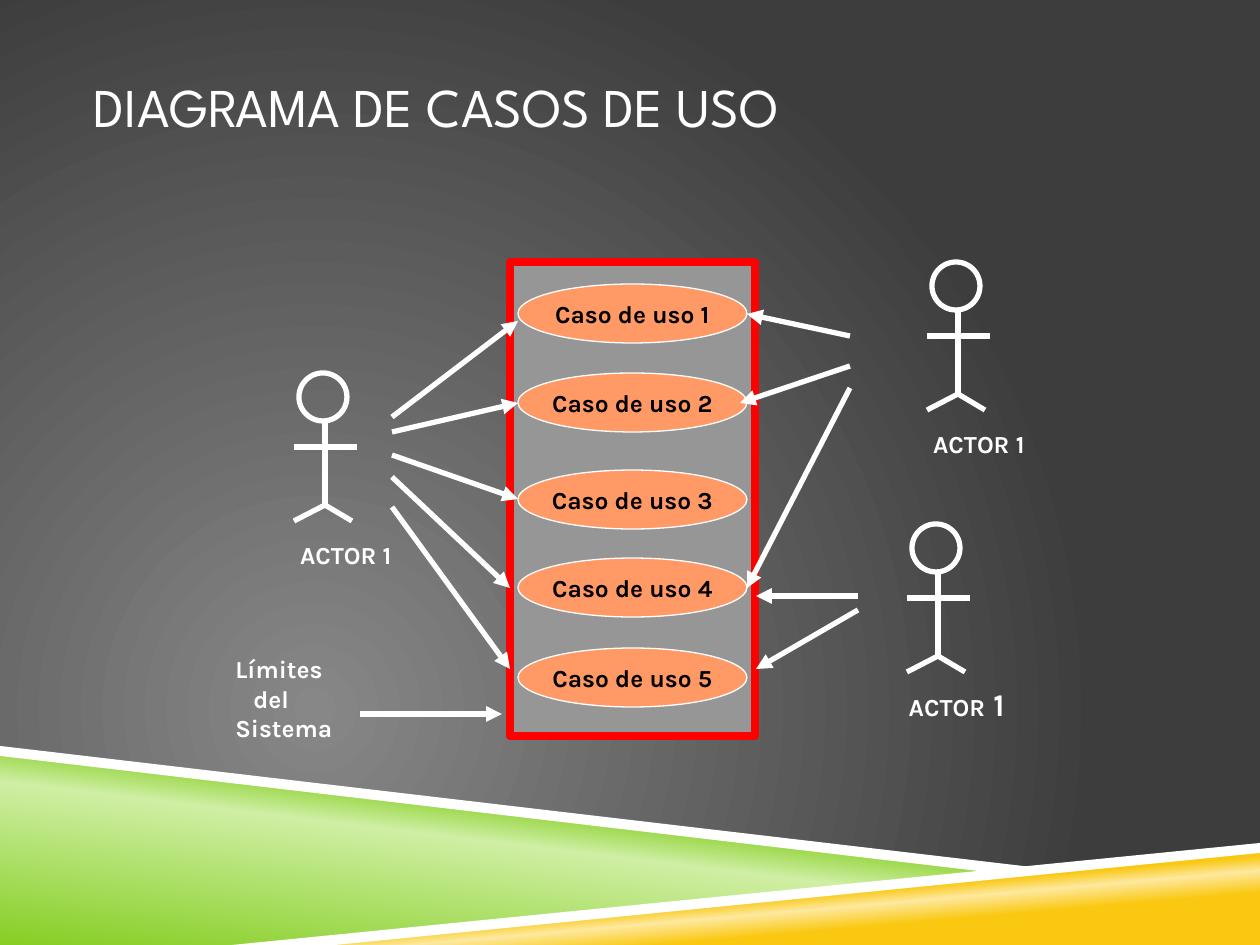
from lxml.etree import SubElement
from pptx import Presentation
from pptx.dml.color import RGBColor
from pptx.enum.shapes import MSO_CONNECTOR, MSO_SHAPE
from pptx.enum.text import MSO_ANCHOR, PP_ALIGN
from pptx.oxml.ns import qn
from pptx.util import Pt

SCALE = 914400 / 126  # EMU per px
WIDTH, HEIGHT = 1260, 945

WHITE = RGBColor(0xFF, 0xFF, 0xFF)
BLACK = RGBColor(0x00, 0x00, 0x00)
RED = RGBColor(0xFF, 0x00, 0x00)
GRAY = RGBColor(0x96, 0x96, 0x96)
ORANGE = RGBColor(0xFF, 0x99, 0x66)
LIGHT_GRAY = RGBColor(0x87, 0x87, 0x87)
DARK_GRAY = RGBColor(0x3D, 0x3D, 0x3D)
GREEN = RGBColor(0x86, 0xCE, 0x24)
PALE_GREEN = RGBColor(0xCF, 0xEF, 0xA4)
YELLOW = RGBColor(0xFA, 0xC8, 0x10)
PALE_YELLOW = RGBColor(0xFD, 0xE9, 0x9F)

BODY_FONT, TITLE_FONT = "Karla", "League Spartan"

TITLE = "DIAGRAMA DE CASOS DE USO"

# Corners, then a solid colour or (stops, angle)
BANDS = [
    ([(0, 752), (998, 872), (252, 945), (0, 945)],
     ([(0, GREEN), (52, PALE_GREEN), (66, GREEN)], 277)),
    ([(249, 945), (1260, 847), (1260, 945)],
     ([(28, YELLOW), (40, PALE_YELLOW), (48, YELLOW)], 265)),
    ([(0, 746), (0, 756), (995, 873), (1048, 869)], WHITE),
    ([(1260, 843), (232, 945), (335, 945), (1260, 853)], WHITE),
]

SYSTEM = (510, 262, 245, 474)
CASE_LEFT, CASE_WIDTH, CASE_HEIGHT = 518, 229, 59
CASES = [("Caso de uso 1", 284), ("Caso de uso 2", 373), ("Caso de uso 3", 470),
         ("Caso de uso 4", 558), ("Caso de uso 5", 648)]

ARROWS = [
    (392, 417, 518, 321), (392, 432, 518, 403), (392, 455, 518, 499),
    (392, 477, 510, 588), (392, 507, 510, 669),
    (850, 366, 740, 403), (850, 388, 747, 588), (850, 336, 747, 314),
    (858, 610, 756, 669), (858, 596, 756, 596),
    (360, 714, 502, 714),
]

# Head corner, label box, label runs with sizes
ACTORS = [
    ((299, 373), (248, 534, 156, 39), [("ACTOR 1", 14)]),
    ((932, 262), (881, 423, 156, 39), [("ACTOR 1", 14)]),
    ((912, 524), (853, 679, 164, 47), [("ACTOR", 14), (" 1", 18)]),
]
HEAD = 48
LIMBS = [(26, 48, 26, 132), (-5, 74, 58, 74), (26, 132, -5, 148), (26, 132, 53, 148)]

LIMITS_BOX = (223, 648, 160, 93)
LIMITS = [("Límites", 0), ("del", 18), ("Sistema", 0)]  # text, indent


def px(*lengths):
    return [round(length * SCALE) for length in lengths]


def set_gradient(fill, stops, angle=None):
    """Linear at the angle, or circular around the lower left without one."""
    fill.gradient()
    gradient = fill._xPr.find(qn("a:gradFill"))
    for child in list(gradient):
        gradient.remove(child)
    stop_list = SubElement(gradient, qn("a:gsLst"))
    for position, color in stops:
        stop = SubElement(stop_list, qn("a:gs"), pos=str(position * 1000))
        SubElement(stop, qn("a:srgbClr"), val=str(color))
    if angle is None:
        circle = SubElement(gradient, qn("a:path"), path="circle")
        SubElement(circle, qn("a:fillToRect"), l="50000", t="100000", r="100000", b="50000")
    else:
        SubElement(gradient, qn("a:lin"), ang=str(angle * 60000), scaled="0")


def set_solid(fill, color):
    fill.solid()
    fill.fore_color.rgb = color


def add_band(page, corners, paint):
    builder = page.shapes.build_freeform(*corners[0], scale=SCALE)
    builder.add_line_segments(corners[1:], close=True)
    band = builder.convert_to_shape()
    band.shadow.inherit = False
    band.line.fill.background()
    if isinstance(paint, RGBColor):
        set_solid(band.fill, paint)
    else:
        set_gradient(band.fill, *paint)


def add_preset(page, kind, area, color, line_color, line_width):
    shape = page.shapes.add_shape(kind, *px(*area))
    shape.shadow.inherit = False
    if color is None:
        shape.fill.background()
    else:
        set_solid(shape.fill, color)
    shape.line.color.rgb = line_color
    shape.line.width = Pt(line_width)
    return shape


def add_line(page, ends, arrow=False):
    line = page.shapes.add_connector(MSO_CONNECTOR.STRAIGHT, *px(*ends))
    line.line.color.rgb = WHITE
    line.line.width = Pt(3)
    if arrow:
        SubElement(line.line._get_or_add_ln(), qn("a:tailEnd"), type="triangle")
    SubElement(line._element.spPr, qn("a:effectLst"))


def add_span(para, text, size=14, color=WHITE, font=BODY_FONT, bold=True):
    span = para.add_run()
    span.text = text
    span.font.name = font
    span.font.size = Pt(size)
    span.font.bold = bold
    span.font.color.rgb = color


def add_box(page, area, wrap=True):
    frame = page.shapes.add_textbox(*px(*area)).text_frame
    frame.word_wrap = wrap
    return frame


def add_actor(page, corner, label_area, label):
    left, top = corner
    add_preset(page, MSO_SHAPE.OVAL, (left, top, HEAD, HEAD), None, WHITE, 3)
    for x1, y1, x2, y2 in LIMBS:
        add_line(page, (left + x1, top + y1, left + x2, top + y2))
    para = add_box(page, label_area, wrap=False).paragraphs[0]
    para.alignment = PP_ALIGN.RIGHT
    for text, size in label:
        add_span(para, text, size)


def main():
    deck = Presentation()
    deck.slide_width, deck.slide_height = px(WIDTH, HEIGHT)
    page = deck.slides.add_slide(deck.slide_layouts[6])

    # Background and bottom bands
    set_gradient(page.background.fill, [(0, LIGHT_GRAY), (100, DARK_GRAY)])
    for corners, paint in BANDS:
        add_band(page, corners, paint)

    # System boundary and use cases
    add_preset(page, MSO_SHAPE.RECTANGLE, SYSTEM, GRAY, RED, 4.5)
    for name, top in CASES:
        area = (CASE_LEFT, top, CASE_WIDTH, CASE_HEIGHT)
        frame = add_preset(page, MSO_SHAPE.OVAL, area, ORANGE, WHITE, 0.75).text_frame
        frame.word_wrap = False
        frame.vertical_anchor = MSO_ANCHOR.MIDDLE
        frame.paragraphs[0].alignment = PP_ALIGN.CENTER
        add_span(frame.paragraphs[0], name, color=BLACK)

    # Arrows and actors
    for ends in ARROWS:
        add_line(page, ends, arrow=True)
    for actor in ACTORS:
        add_actor(page, *actor)

    # Boundary label
    frame = add_box(page, LIMITS_BOX)
    for index, (text, indent) in enumerate(LIMITS):
        para = frame.add_paragraph() if index else frame.paragraphs[0]
        if indent:
            para._p.get_or_add_pPr().set("marL", str(px(indent)[0]))
        add_span(para, text)

    # Title
    frame = add_box(page, (94, 66, 1071, 79))
    frame.margin_left = frame.margin_right = 0
    frame.vertical_anchor = MSO_ANCHOR.BOTTOM
    add_span(frame.paragraphs[0], TITLE, 31.2, font=TITLE_FONT, bold=False)

    deck.save("out.pptx")


if __name__ == "__main__":
    main()
